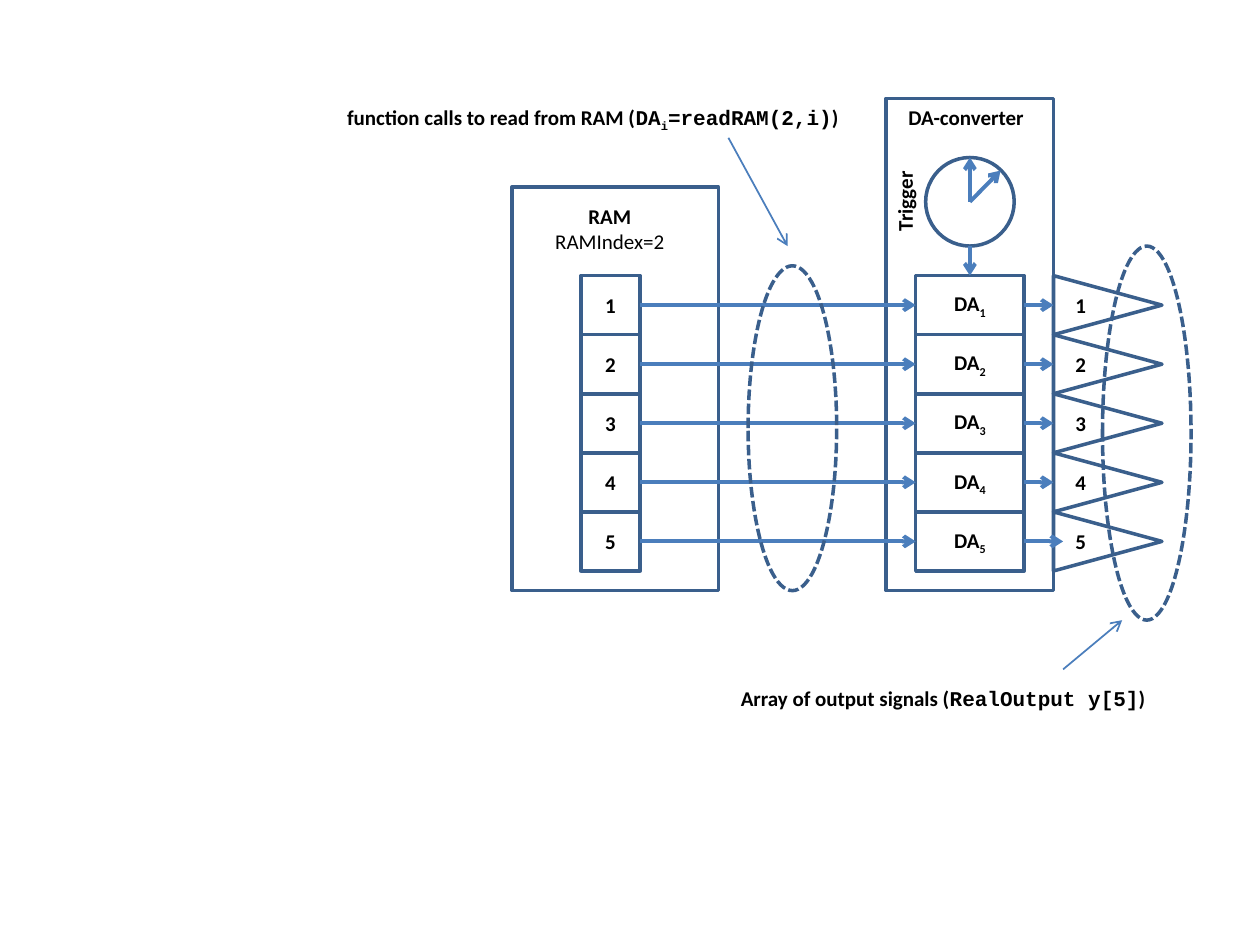
from lxml import etree
from pptx import Presentation, util as u
from pptx.dml.color import RGBColor
from pptx.enum import dml, shapes, text
from pptx.oxml.ns import qn

Pt = u.Pt
KIND = shapes.MSO_SHAPE
EDGE, WIRE, INK = "3A5F8C", "4B7EBC", "000000"
SANS, MONO = "Calibri", "Courier New"

# Content: a run is (words, font, bold, subscript)
CALLS = [("function calls to read from RAM (", SANS, True, False),
         ("DA", MONO, True, False), ("i", MONO, True, True),
         ("=readRAM(2,i)", MONO, True, False), (")", SANS, True, False)]
ARRAY = [("Array of output signals (", SANS, True, False),
         ("RealOutput y[5]", MONO, True, False), (")", SANS, True, False)]
MEMORY = [("RAM", SANS, True, False), None, ("RAMIndex=2", SANS, False, False)]
TITLE = [("DA-converter", SANS, True, False)]
TRIGGER = [("Trigger", SANS, True, False)]
ROWS = ["1", "2", "3", "4", "5"]

# Grid: five rows shared by memory cells, converter cells and outputs
TOP, STEP = 157.5, 33.75
CELL_X, CELL_W = 332, 33.75
DA_X, DA_W = 523.25, 62
OUT_X, OUT_W = 602, 62
MID_X = DA_X + DA_W / 2

deck = Presentation()
deck.slide_width, deck.slide_height = Pt(720), Pt(540)
page = deck.slides.add_slide(deck.slide_layouts[6])


def color(code):
    return RGBColor.from_string(code)


def write(frame, runs, align=None):
    para = frame.paragraphs[0]
    para.alignment = align
    for part in runs:
        if part is None:
            para.add_line_break()
            continue
        words, face, bold, sub = part
        run = para.add_run()
        run.text = words
        font = run.font
        font.name, font.size, font.bold = face, Pt(12), bold
        font.color.rgb = color(INK)
        if sub:
            font._element.set("baseline", "-25000")


def shape(kind, x, y, w, h, runs=(), dash=False):
    item = page.shapes.add_shape(kind, Pt(x), Pt(y), Pt(w), Pt(h))
    item.shadow.inherit = False
    item.fill.background()
    item.line.color.rgb = color(EDGE)
    item.line.width = Pt(2)
    if dash:
        item.line.dash_style = dml.MSO_LINE.SQUARE_DOT
    if runs:
        frame = item.text_frame
        frame.word_wrap = False
        frame.vertical_anchor = text.MSO_ANCHOR.MIDDLE
        write(frame, runs, text.PP_ALIGN.CENTER)
    return item


def label(x, y, w, h, runs, align=text.PP_ALIGN.LEFT):
    box = page.shapes.add_textbox(Pt(x), Pt(y), Pt(w), Pt(h))
    box.text_frame.word_wrap = False
    box.text_frame.auto_size = text.MSO_AUTO_SIZE.SHAPE_TO_FIT_TEXT
    write(box.text_frame, runs, align)
    return box


def arrow(x1, y1, x2, y2, wide=2.25):
    wire = page.shapes.add_connector(
        shapes.MSO_CONNECTOR.STRAIGHT, Pt(x1), Pt(y1), Pt(x2), Pt(y2))
    wire.line.color.rgb = color(WIRE)
    wire.line.width = Pt(wide)
    etree.SubElement(wire.line._get_or_add_ln(), qn("a:tailEnd"), type="arrow")
    etree.SubElement(wire._element.spPr, qn("a:effectLst"))


# Frames of the converter and the memory
shape(KIND.RECTANGLE, 506.25, 56.25, 95.75, 281.25)
shape(KIND.RECTANGLE, 292.5, 106.9, 118, 230.6)

# Rows: memory cell, converter cell, output triangle and the wires between
for i, num in enumerate(ROWS):
    y = TOP + i * STEP
    mid = y + STEP / 2
    digit = (num, SANS, True, False)
    shape(KIND.RECTANGLE, CELL_X, y, CELL_W, STEP, [digit])
    shape(KIND.RECTANGLE, DA_X, y, DA_W, STEP,
          [("DA", SANS, True, False), (num, SANS, True, True)])
    # The triangle is turned to point right, its text is turned back
    out = shape(KIND.ISOSCELES_TRIANGLE, OUT_X + (OUT_W - STEP) / 2,
                mid - OUT_W / 2, STEP, OUT_W, [digit])
    out.rotation = 90
    out.text_frame._txBody.bodyPr.set("vert", "vert270")
    arrow(CELL_X + CELL_W, mid, DA_X, mid)
    last = i == len(ROWS) - 1
    arrow(DA_X + DA_W, mid, OUT_X + (5.5 if last else 0), mid)

# Trigger clock
shape(KIND.OVAL, MID_X - 25.3, 90, 50.6, 50.6)
arrow(MID_X, 115.3, MID_X, 90)
arrow(MID_X, 115.3, MID_X + 17.5, 97.5)
arrow(MID_X, 140.6, MID_X, TOP)

# Dashed rings with their pointers
shape(KIND.OVAL, 427.5, 151.9, 50.6, 185.6, dash=True)
arrow(416.25, 78.75, 450, 140.6, 1)
shape(KIND.OVAL, 630, 140.6, 50.6, 213.75, dash=True)
arrow(607.5, 382.5, 641.25, 354.4, 1)

# Labels
label(191.25, 56.25, 299.5, 21.8, CALLS)
label(416.25, 388.1, 249, 21.8, ARRAY)
label(512, 56.25, 81.5, 21.8, TITLE)
label(309.5, 112.5, 78, 36.35, MEMORY, text.PP_ALIGN.CENTER)
label(492.5, 103.75, 49, 21.8, TRIGGER).rotation = 270

deck.save("out.pptx")
